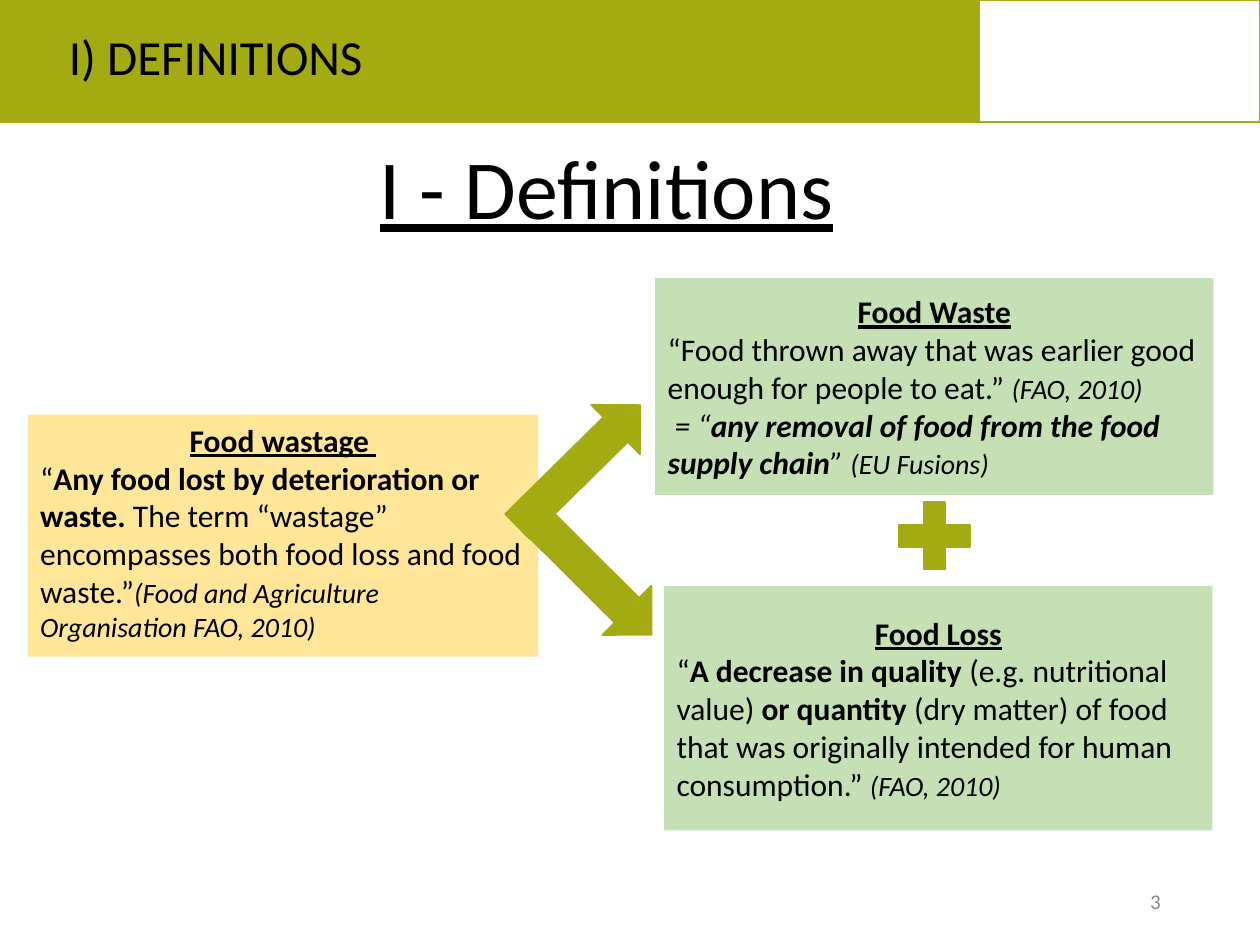
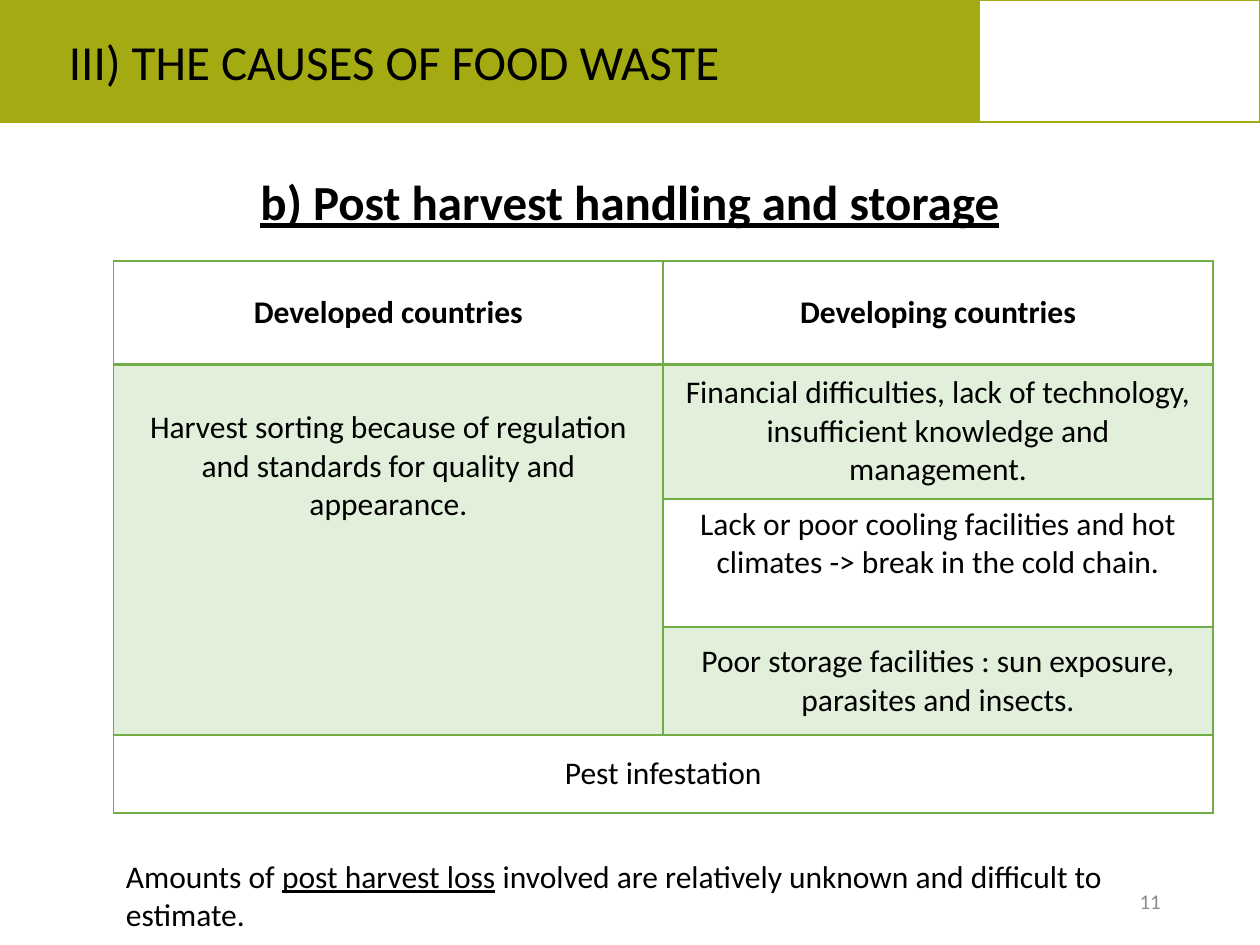
from dataclasses import dataclass
from typing import Any

from lxml import etree
from pptx import Presentation
from pptx.dml import color
from pptx.enum import shapes, text
from pptx.oxml import ns
from pptx.util import Cm, Pt

LEFT, CENTER, RIGHT = text.PP_ALIGN.LEFT, text.PP_ALIGN.CENTER, text.PP_ALIGN.RIGHT
TOP, MIDDLE = text.MSO_ANCHOR.TOP, text.MSO_ANCHOR.MIDDLE
SHAPE = shapes.MSO_SHAPE


def rgb(value):
    return color.RGBColor.from_string(value)


def span(words, **style):
    return words, style


def heading(words):
    return CENTER, [span(words, bold=True, underline=True)]


def source(words):
    return span(words, size=16, italic=True)


@dataclass
class Slides:
    deck: Any
    page: Any = None
    font: str = "Calibri"
    ink: str = "000000"
    olive: str = "A4AA12"
    white: str = "FFFFFF"
    grey: str = "8C8C8C"
    green: str = "C5E0B4"
    yellow: str = "FFE699"
    grid: str = "70AD47"
    tint: str = "E2EFDA"

    def fill_text(self, frame, paragraphs, spacing=None, **base):
        frame.word_wrap = True
        for index, (align, spans) in enumerate(paragraphs):
            para = frame.paragraphs[0] if index == 0 else frame.add_paragraph()
            para.alignment = align
            if spacing:
                para.line_spacing = spacing
            for words, style in spans:
                run = para.add_run()
                run.text = words
                look = {"size": 18, "ink": self.ink, **base, **style}
                run.font.name = self.font
                run.font.size = Pt(look["size"])
                run.font.color.rgb = rgb(look["ink"])
                run.font.bold = look.get("bold")
                run.font.italic = look.get("italic")
                run.font.underline = look.get("underline")

    def label(self, place, spans, align=LEFT, anchor=TOP, spacing=None, **style):
        box = self.page.shapes.add_textbox(*map(Cm, place))
        box.text_frame.vertical_anchor = anchor
        self.fill_text(box.text_frame, [(align, spans)], spacing, **style)

    def shape(self, kind, place, fill, line=None, turn=0):
        box = self.page.shapes.add_shape(kind, *map(Cm, place))
        box.shadow.inherit = False
        box.rotation = turn
        box.fill.solid()
        box.fill.fore_color.rgb = rgb(fill)
        if line:
            box.line.color.rgb = rgb(line)
            box.line.width = Pt(1)
        else:
            box.line.fill.background()
        return box

    def card(self, place, fill, paragraphs, anchor=MIDDLE):
        box = self.shape(SHAPE.RECTANGLE, place, fill)
        box.text_frame.vertical_anchor = anchor
        self.fill_text(box.text_frame, paragraphs)

    def symbol(self, kind, place, turn=0):
        self.shape(kind, place, self.olive, self.olive, turn)

    def new_page(self, section, section_top, number, title, title_place, **title_style):
        self.page = self.deck.slides.add_slide(self.deck.slide_layouts[6])
        self.label(title_place, [span(title)], CENTER, MIDDLE, 0.9, underline=True, **title_style)
        self.shape(SHAPE.RECTANGLE, (0, 0, 25.4, 2.46), self.olive, self.olive)
        self.shape(SHAPE.RECTANGLE, (19.74, 0, 5.66, 2.46), self.white, self.olive)
        self.label((1.14, section_top, 16.13, 1.45), [span(section)], size=28)
        self.label((17.93, 17.65, 5.72, 1.02), [span(str(number))], RIGHT, MIDDLE,
                   size=12, ink=self.grey)

    def borders(self, cell, **widths):
        properties = cell._tc.get_or_add_tcPr()
        for index, (side, width) in enumerate(widths.items()):
            line = etree.Element(ns.qn(f"a:ln{side}"), w=str(Pt(width)))
            fill = etree.SubElement(line, ns.qn("a:solidFill"))
            etree.SubElement(fill, ns.qn("a:srgbClr"), val=self.grid)
            properties.insert(index, line)

    def table(self, left, top, widths, heights, merges, entries, shaded):
        place = left, top, sum(widths), sum(heights)
        table = self.page.shapes.add_table(len(heights), len(widths), *map(Cm, place)).table
        table.first_row = table.horz_banding = False
        for column, width in zip(table.columns, widths):
            column.width = Cm(width)
        for row, height in zip(table.rows, heights):
            row.height = Cm(height)
        for first, last in merges:
            table.cell(*first).merge(table.cell(*last))
        for row in range(len(heights)):
            for column in range(len(widths)):
                cell = table.cell(row, column)
                self.borders(cell, L=1, R=1, T=2 if row == 1 else 1, B=2 if row == 0 else 1)
                if (row, column) in shaded:
                    cell.fill.solid()
                    cell.fill.fore_color.rgb = rgb(self.tint)
                else:
                    cell.fill.background()
                cell.vertical_anchor = MIDDLE
                if (row, column) in entries:
                    words = entries[row, column]
                    self.fill_text(cell.text_frame, [(CENTER, [span(words, bold=row == 0)])])
        return table


def definitions(slides):
    slides.new_page("I) DEFINITIONS", 0.41, 3, "I - Definitions",
                    (7.29, 2.46, 9.88, 2.82), size=48)
    slides.card((0.56, 8.36, 10.29, 4.88), slides.yellow, [
        heading("Food wastage "),
        (LEFT, [
            span("“"),
            span("Any food lost by deterioration or waste. ", bold=True),
            span("The term “wastage” encompasses both food loss and food waste.”"),
            source("(Food and Agriculture Organisation FAO, 2010)"),
        ]),
    ], TOP)
    slides.card((13.39, 11.81, 11.05, 4.93), slides.green, [
        heading("Food Loss"),
        (LEFT, [
            span("“"),
            span("A decrease in quality ", bold=True),
            span("(e.g. nutritional value) "),
            span("or quantity ", bold=True),
            span("(dry matter) of food that was originally intended for human consumption.” "),
            source("(FAO, 2010)"),
        ]),
    ])
    slides.card((13.21, 5.61, 11.25, 4.37), slides.green, [
        heading("Food Waste"),
        (LEFT, [
            span("“Food thrown away that was earlier good enough for people to eat.” "),
            source("(FAO, 2010)"),
        ]),
        (LEFT, [
            span(" = “", italic=True),
            span("any removal of food from the food supply chain", bold=True, italic=True),
            span("” ", italic=True),
            source("(EU Fusions)"),
        ]),
    ])
    slides.symbol(SHAPE.RIGHT_ARROW, (9.93, 8.69, 3.48, 1.4), 315.4)
    slides.symbol(SHAPE.RIGHT_ARROW, (10.16, 10.87, 3.48, 1.4), 44.9)
    slides.symbol(SHAPE.MATH_PLUS, (17.86, 9.88, 1.96, 1.85))


def causes(slides):
    slides.new_page("III) THE CAUSES OF FOOD WASTE", 0.51, 11,
                    "b) Post harvest handling and storage",
                    (2.84, 2.29, 19.71, 3.68), size=28, bold=True)
    entries = {
        (0, 0): "Developed countries",
        (0, 1): "Developing countries",
        (1, 0): "Harvest sorting because of regulation and standards for quality and appearance.",
        (1, 1): "Financial difficulties, lack of technology, insufficient knowledge and management.",
        (2, 1): "Lack or poor cooling facilities and hot climates -> break in the cold chain.",
        (3, 1): "Poor storage facilities : sun exposure, parasites and insects.",
        (4, 0): "Pest infestation",
    }
    table = slides.table(2.29, 5.26, [11.08] * 2, [2.08, 2.72, 2.58, 2.18, 1.57],
                         [((1, 0), (3, 0)), ((4, 0), (4, 1))],
                         entries, {(1, 0), (1, 1), (3, 1)})
    sorting, cooling = table.cell(1, 0), table.cell(2, 1)
    sorting.vertical_anchor = TOP
    sorting.margin_top = Cm(0.9)
    cooling.margin_bottom = Cm(0.9)
    slides.label((2.29, 17.15, 22.61, 1.02), [
        span("Amounts of "),
        span("post harvest loss", underline=True),
        span(" involved are relatively unknown and difficult to estimate."),
    ])


def main():
    deck = Presentation()
    deck.slide_width, deck.slide_height = Cm(25.4), Cm(19.05)
    slides = Slides(deck)
    definitions(slides)
    causes(slides)
    deck.save("out.pptx")


if __name__ == "__main__":
    main()
